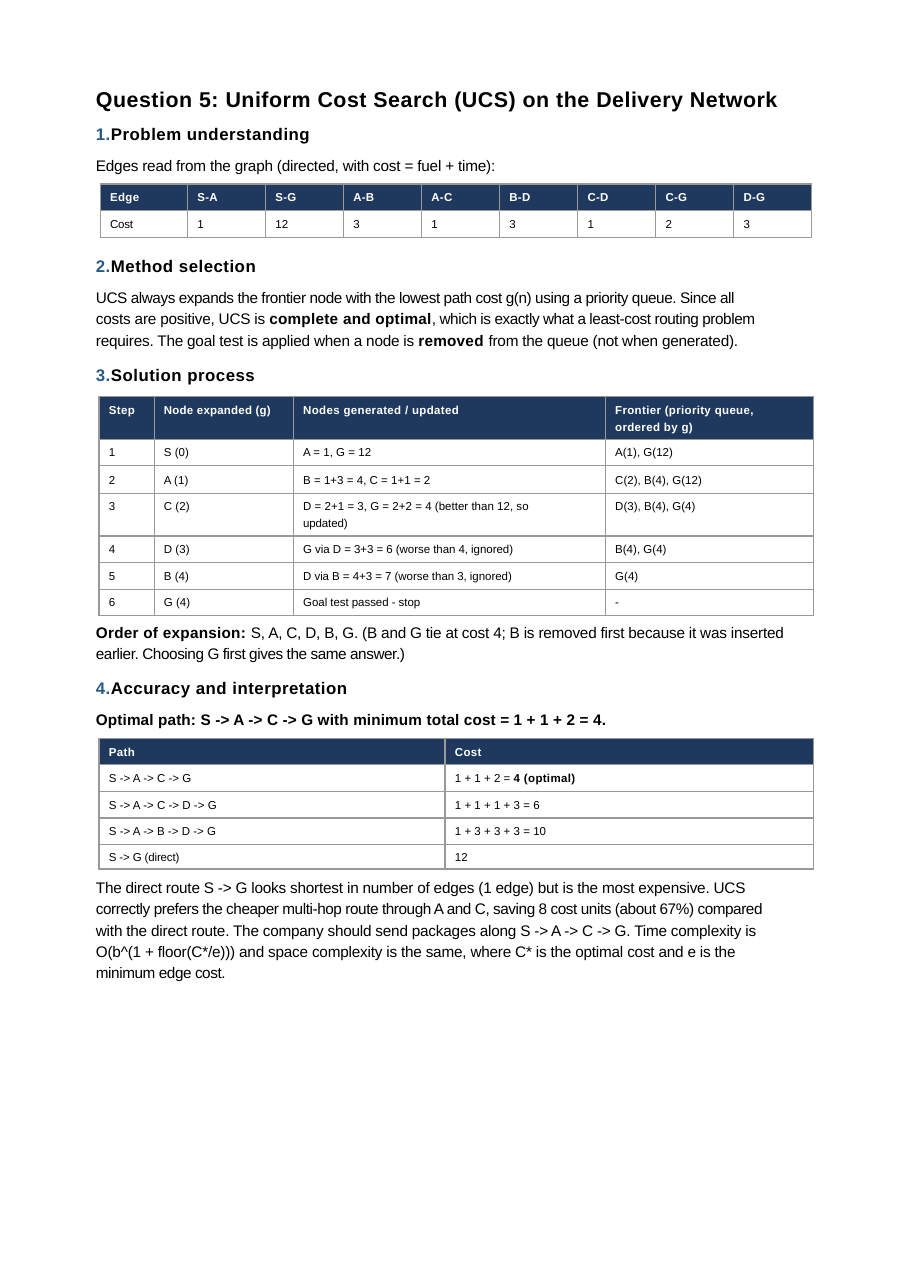
from dataclasses import dataclass

from lxml.etree import SubElement
from pptx import Presentation
from pptx.dml.color import RGBColor
from pptx.enum.text import MSO_ANCHOR
from pptx.oxml.ns import qn
from pptx.util import Pt


@dataclass(frozen=True)
class Theme:
    font: str = "Arial"
    ink: str = "000000"
    accent: str = "2A5B88"
    header_fill: str = "1F385D"
    header_ink: str = "FFFFFF"
    border: str = "999999"
    title: float = 14
    heading: float = 11
    body: float = 10
    cell: float = 7.5


@dataclass(frozen=True)
class Box:
    left: float
    top: float
    width: float
    height: float


THEME = Theme()
HEADING_LEADING = 12.3
BODY_LEADING = 11.2
CELL_LEADING = 9.5
TIGHT = -0.25


def write(paragraph, text, size=THEME.body, color=THEME.ink, bold=False, tracking=0):
    run = paragraph.add_run()
    run.text = text
    run.font.name = THEME.font
    run.font.size = Pt(size)
    run.font.bold = bold
    run.font.color.rgb = RGBColor.from_string(color)
    run.font._element.set("spc", str(round(tracking * 100)))


def title(text):
    return [(text, dict(size=THEME.title, bold=True, tracking=0.3))], 15.6, 0


def heading(number, text, before=0):
    style = dict(size=THEME.heading, bold=True, tracking=0.3)
    return [(number, dict(style, color=THEME.accent)), (text, style)], HEADING_LEADING, before


def body(*runs, before=2.8):
    return list(runs), BODY_LEADING, before


def plain(text, tracking=-0.1):
    return text, dict(tracking=tracking)


def strong(text, tracking=0.2):
    return text, dict(bold=True, tracking=tracking)


def fill_frame(frame, lines):
    for index, (runs, leading, before) in enumerate(lines):
        paragraph = frame.add_paragraph() if index else frame.paragraphs[0]
        paragraph.line_spacing = Pt(leading)
        paragraph.space_before = Pt(before if index else 0)
        for text, style in runs:
            write(paragraph, text, **style)


def place_text(slide, box, lines):
    frame = slide.shapes.add_textbox(Pt(box.left), Pt(box.top), Pt(box.width), Pt(box.height)).text_frame
    frame.word_wrap = True
    frame.vertical_anchor = MSO_ANCHOR.MIDDLE
    frame.margin_left = frame.margin_top = frame.margin_right = frame.margin_bottom = 0
    fill_frame(frame, lines)


def outline_cell(cell):
    properties = cell._tc.get_or_add_tcPr()
    for side in ("a:lnL", "a:lnR", "a:lnT", "a:lnB"):
        line = SubElement(properties, qn(side), w=str(Pt(1)))
        fill = SubElement(line, qn("a:solidFill"))
        SubElement(fill, qn("a:srgbClr"), val=THEME.border)


def format_cell(cell, content, inset, is_header):
    cell.margin_left, cell.margin_top = Pt(6.4), Pt(inset)
    cell.margin_right = cell.margin_bottom = 0
    outline_cell(cell)
    if is_header:
        cell.fill.solid()
        cell.fill.fore_color.rgb = RGBColor.from_string(THEME.header_fill)
    else:
        cell.fill.background()
    base = dict(size=THEME.cell, bold=is_header, tracking=0.2 if is_header else 0,
                color=THEME.header_ink if is_header else THEME.ink)
    lines = [[(content, {})]] if isinstance(content, str) else content
    fill_frame(cell.text_frame, [
        ([(text, dict(base, **style)) for text, style in runs], CELL_LEADING, 1.5)
        for runs in lines])


def place_table(slide, left, top, widths, rows):
    grid = slide.shapes.add_table(len(rows), len(widths), Pt(left), Pt(top), Pt(sum(widths)),
                                  Pt(sum(height for height, _, _ in rows))).table
    grid.horz_banding = grid.first_row = False
    for column, width in zip(grid.columns, widths):
        column.width = Pt(width)
    for row_index, (height, inset, contents) in enumerate(rows):
        grid.rows[row_index].height = Pt(height)
        for column_index, content in enumerate(contents):
            format_cell(grid.cell(row_index, column_index), content, inset, row_index == 0)


def problem_region(slide, box):
    place_text(slide, box, [
        title("Question 5: Uniform Cost Search (UCS) on the Delivery Network"),
        heading("1.", "Problem understanding", before=8.9),
        body(plain("Edges read from the graph (directed, with cost = fuel + time):"), before=8.6),
    ])
    edges = [[[(name, dict(tracking=0.1))]]
             for name in ("S-A", "S-G", "A-B", "A-C", "B-D", "C-D", "C-G", "D-G")]
    place_table(slide, box.left + 2.9, box.top + 62.6, [57.1] + [51] * 8, [
        (17.3, 3.6, ["Edge", *edges]),
        (17.6, 4, [[[plain("Cost", -0.2)]], "1", "12", "3", "1", "3", "1", "2", "3"]),
    ])


def method_region(slide, box):
    place_text(slide, box, [
        heading("2.", "Method selection"),
        body(plain("UCS always expands the frontier node with the lowest path cost g(n) "
                   "using a priority queue. Since all", TIGHT), before=8.5),
        body(plain("costs are positive, UCS is "), strong("complete and optimal"),
             plain(", which is exactly what a least-cost routing problem", TIGHT)),
        body(plain("requires. The goal test is applied when a node is "), strong("removed "),
             plain("from the queue (not when generated).")),
        heading("3.", "Solution process", before=10.9),
    ])
    place_table(slide, box.left + 2.1, box.top + 90.7, [36, 91, 204, 136.2], [
        (27.9, 3.6, ["Step", [[("Node expanded (g)", dict(tracking=0.1))]],
                     "Nodes generated / updated",
                     [[("Frontier (priority queue,", {})], [("ordered by g)", {})]]]),
        (17.3, 3.6, ["1", "S (0)", "A = 1, G = 12", "A(1), G(12)"]),
        (18, 4.3, ["2", "A (1)", "B = 1+3 = 4, C = 1+1 = 2", "C(2), B(4), G(12)"]),
        (27.9, 3.6, ["3", "C (2)", [[plain("D = 2+1 = 3, G = 2+2 = 4 (better than 12, so", 0)],
                                    [plain("updated)")]], "D(3), B(4), G(4)"]),
        (17.3, 3.6, ["4", "D (3)", [[plain("G via D = 3+3 = 6 (worse than 4, ignored)", -0.05)]],
                     "B(4), G(4)"]),
        (17.5, 4, ["5", "B (4)", [[plain("D via B = 4+3 = 7 (worse than 3, ignored)", -0.05)]],
                   "G(4)"]),
        (17.3, 3.6, ["6", "G (4)", [[plain("Goal test passed - stop", -0.05)]], "-"]),
    ])


def accuracy_region(slide, box):
    place_text(slide, box, [
        body(strong("Order of expansion: "),
             plain("S, A, C, D, B, G. (B and G tie at cost 4; B is removed first "
                   "because it was inserted")),
        body(plain("earlier. Choosing G first gives the same answer.)", TIGHT)),
        heading("4.", "Accuracy and interpretation", before=10.9),
        body(strong("Optimal path: S -> A -> C -> G with minimum total cost = 1 + 1 + 2 = 4.", 0.1),
             before=8.6),
    ])
    place_table(slide, box.left + 2.1, box.top + 74.2, [226.2, 241], [
        (17.3, 4, ["Path", "Cost"]),
        (17.5, 4, ["S -> A -> C -> G", [[plain("1 + 1 + 2 = ", 0), strong("4 (optimal)")]]]),
        (17.3, 3.6, ["S -> A -> C -> D -> G", "1 + 1 + 1 + 3 = 6"]),
        (17.3, 3.6, ["S -> A -> B -> D -> G", "1 + 3 + 3 + 3 = 10"]),
        (16.1, 3.6, [[[plain("S -> G (direct)")]], "12"]),
    ])


def conclusion_region(slide, box):
    place_text(slide, box, [
        body(plain("The direct route S -> G looks shortest in number of edges (1 edge) "
                   "but is the most expensive. UCS")),
        body(plain("correctly prefers the cheaper multi-hop route through A and C, "
                   "saving 8 cost units (about 67%) compared", TIGHT)),
        body(plain("with the direct route. The company should send packages along "
                   "S -> A -> C -> G. Time complexity is")),
        body(plain("O(b^(1 + floor(C*/e))) and space complexity is the same, "
                   "where C* is the optimal cost and e is the")),
        body(plain("minimum edge cost.", TIGHT)),
    ])


def main():
    deck = Presentation()
    deck.slide_width, deck.slide_height = Pt(596.16), Pt(841.68)
    slide = deck.slides.add_slide(deck.slide_layouts[6])
    left, width = 62.7, 480
    problem_region(slide, Box(left, 57.6, width, 56.2))
    method_region(slide, Box(left, 168.5, width, 82.8))
    accuracy_region(slide, Box(left, 408.2, width, 67.7))
    conclusion_region(slide, Box(left, 574.6, width, 67))
    deck.save("out.pptx")


if __name__ == "__main__":
    main()
